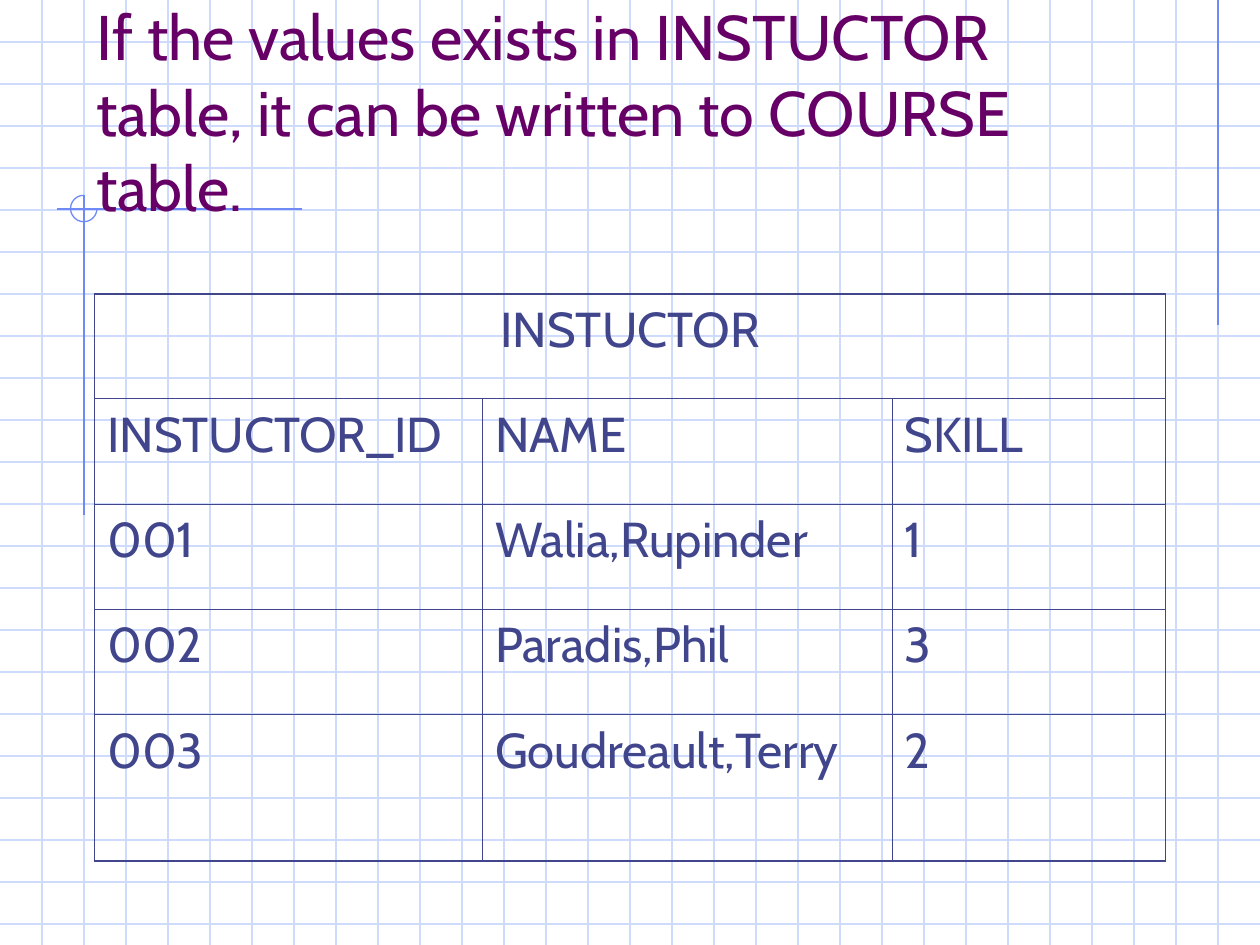
from lxml.etree import SubElement
from pptx import Presentation
from pptx.dml.color import RGBColor
from pptx.enum.shapes import MSO_CONNECTOR, MSO_SHAPE
from pptx.enum.text import MSO_ANCHOR, MSO_AUTO_SIZE, PP_ALIGN
from pptx.oxml.ns import qn
from pptx.util import Inches, Pt

WIDTH, HEIGHT = 10, 7.5
GRID = 1 / 3
FONT = "Cabin"
GRID_COLOR, ACCENT, PURPLE, INK = "CFDBFD", "6F89F7", "660066", "40458C"
TITLE = "If the values exists in INSTUCTOR table, it can be written to COURSE table."
ROWS = [
    ("INSTUCTOR", "", ""),
    ("INSTUCTOR_ID", "NAME", "SKILL"),
    ("001", "Walia,Rupinder", "1"),
    ("002", "Paradis,Phil", "3"),
    ("003", "Goudreault,Terry", "2"),
]
COLUMN_WIDTHS = (3.08, 3.25, 2.17)
ROW_HEIGHTS = (0.83, 0.84, 0.83, 0.84, 1.16)


def color(value):
    """Turn a hex string into a colour."""
    return RGBColor.from_string(value)


def style_paragraph(para, size, value):
    """Set font, size and colour on every run."""
    for span in para.runs:
        span.font.name = FONT
        span.font.size = Pt(size)
        span.font.color.rgb = color(value)


def add_line(page, start, end, value):
    """Draw a thin straight line between two points in inches."""
    points = [Inches(length) for length in (*start, *end)]
    line = page.shapes.add_connector(MSO_CONNECTOR.STRAIGHT, *points)
    line.line.color.rgb = color(value)
    line.line.width = Pt(0.75)
    SubElement(line.element.spPr, qn("a:effectLst"))


def add_grid(page):
    """Rule the page into squares."""
    for row in range(1, int(HEIGHT / GRID) + 1):
        add_line(page, (0, row * GRID), (WIDTH, row * GRID), GRID_COLOR)
    for column in range(1, int(WIDTH / GRID)):
        add_line(page, (column * GRID, 0), (column * GRID, HEIGHT), GRID_COLOR)


def add_accents(page):
    """Draw the darker guide lines and the open circle where they cross."""
    add_line(page, (29 * GRID, 0), (29 * GRID, 2.58), ACCENT)
    add_line(page, (2.4, 1.66), (0.45, 1.66), ACCENT)
    add_line(page, (2 * GRID, 1.55), (2 * GRID, 4.09), ACCENT)
    box = [Inches(length) for length in (0.56, 1.55, 0.21, 0.21)]
    arc = page.shapes.add_shape(MSO_SHAPE.ARC, *box)
    arc.adjustments[0] = 0
    arc.adjustments[1] = 162
    arc.fill.background()
    arc.line.color.rgb = color(ACCENT)
    arc.line.width = Pt(0.75)
    arc.shadow.inherit = False


def add_title(page):
    """Fill the title placeholder and bring it in front of the grid."""
    title = page.shapes.title
    title.left, title.top = Inches(2 * GRID), Inches(0.58)
    title.width, title.height = Inches(8.5), Inches(1.25)
    frame = title.text_frame
    frame.text = TITLE
    frame.word_wrap = True
    frame.auto_size = MSO_AUTO_SIZE.NONE
    frame.vertical_anchor = MSO_ANCHOR.BOTTOM
    para = frame.paragraphs[0]
    para.alignment = PP_ALIGN.LEFT
    para.line_spacing = 1.0
    style_paragraph(para, 36, PURPLE)
    title.element.getparent().append(title.element)


def set_borders(cell, outer_sides):
    """Border a cell, thicker on the sides at the table's edge."""
    properties = cell._tc.get_or_add_tcPr()
    for side in "LRTB":
        width = Pt(1.08 if side in outer_sides else 0.45)
        line = SubElement(properties, qn(f"a:ln{side}"), w=str(width))
        fill = SubElement(line, qn("a:solidFill"))
        SubElement(fill, qn("a:srgbClr"), val=INK)


def add_instructor_table(page):
    """Add the table with its merged heading row."""
    last_row, last_column = len(ROWS) - 1, len(COLUMN_WIDTHS) - 1
    frame = page.shapes.add_table(
        len(ROWS), len(COLUMN_WIDTHS), Inches(0.75), Inches(7 * GRID),
        Inches(sum(COLUMN_WIDTHS)), Inches(sum(ROW_HEIGHTS)))
    table = frame.table
    table.first_row = table.horz_banding = False
    for column, width in zip(table.columns, COLUMN_WIDTHS):
        column.width = Inches(width)
    for row, height in zip(table.rows, ROW_HEIGHTS):
        row.height = Inches(height)
    table.cell(0, 0).merge(table.cell(0, last_column))
    for i, texts in enumerate(ROWS):
        for j, text in enumerate(texts):
            cell = table.cell(i, j)
            edges = {"L": j == 0, "R": j == last_column or i == 0,
                     "T": i == 0, "B": i == last_row}
            set_borders(cell, [side for side in edges if edges[side]])
            cell.fill.background()
            if text:
                cell.text_frame.text = text
                para = cell.text_frame.paragraphs[0]
                para.space_before = Pt(7)
                para.alignment = PP_ALIGN.LEFT if i else PP_ALIGN.CENTER
                style_paragraph(para, 28, INK)


def main():
    """Build and save the slide."""
    deck = Presentation()
    deck.slide_width, deck.slide_height = Inches(WIDTH), Inches(HEIGHT)
    page = deck.slides.add_slide(deck.slide_layouts[5])
    add_grid(page)
    add_accents(page)
    add_title(page)
    add_instructor_table(page)
    deck.save("out.pptx")


if __name__ == "__main__":
    main()
